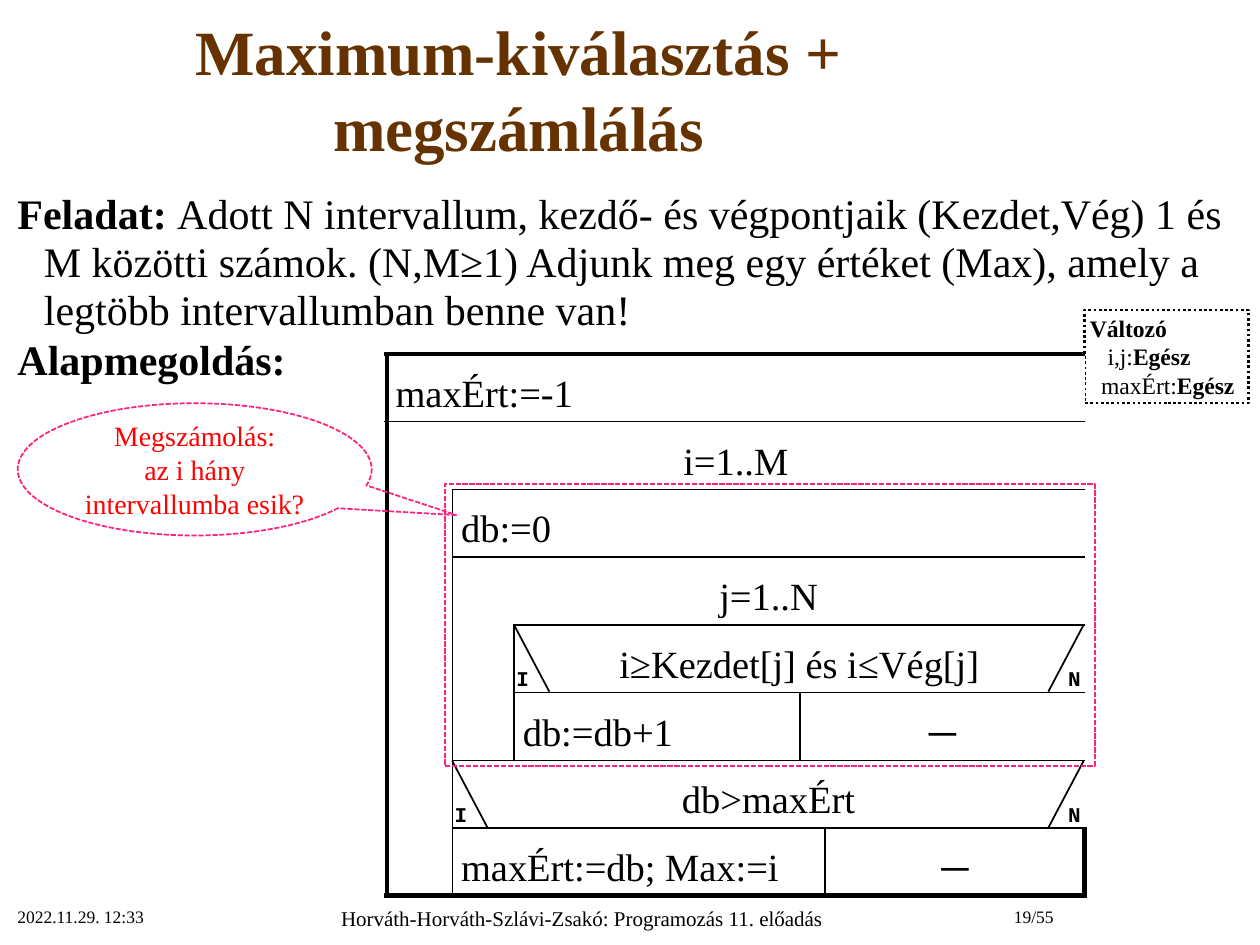
import pptx
import pptx.util
import pptx.dml.color
import pptx.enum.dml
import pptx.enum.shapes
import pptx.enum.text
import pptx.oxml.ns
from lxml import etree

EMU_PER_PX = 9144  # 100 px to the inch
SERIF, MONO = "Times New Roman", "Courier New"
BLACK, WHITE, BROWN, RED, PINK = "000000", "FFFFFF", "663300", "FF0000", "FF217B"
LEFT, CENTER, RIGHT = (pptx.enum.text.PP_ALIGN.LEFT, pptx.enum.text.PP_ALIGN.CENTER,
                       pptx.enum.text.PP_ALIGN.RIGHT)
MIDDLE = pptx.enum.text.MSO_ANCHOR.MIDDLE
SHAPE, DASH = pptx.enum.shapes.MSO_SHAPE, pptx.enum.dml.MSO_LINE

# Each letter is one block of the structogram; a loop's head and side bar share a letter.
BLOCKS = ["AAAAA", "BBBBB", "BCCCC", "BDDDD", "BDEEE", "BDFGG", "BHHHH", "BIIIJ"]
COLUMNS = [52, 49, 227, 20, 206]
STATEMENTS = {
    "A": ("maxÉrt:=-1", LEFT), "B": ("i=1..M", CENTER), "C": ("db:=0", LEFT),
    "D": ("j=1..N", CENTER), "E": ("i≥Kezdet[j] és i≤Vég[j]", CENTER),
    "F": ("db:=db+1", LEFT), "G": ("─", CENTER), "H": ("db>maxÉrt", CENTER),
    "I": ("maxÉrt:=db; Max:=i", LEFT), "J": ("─", CENTER),
}


def px(*lengths):
    """Turn px into EMU: one value for one length, a list for several."""
    emu = [pptx.util.Emu(round(length * EMU_PER_PX)) for length in lengths]
    return emu[0] if len(emu) == 1 else emu


def rgb(value):
    return pptx.dml.color.RGBColor.from_string(value)


def style_run(run, size, color=BLACK, bold=False, font=SERIF):
    run.font.name, run.font.size, run.font.bold = font, pptx.util.Pt(size), bold
    run.font.color.rgb = rgb(color)


def write(paragraph, text, size, color=BLACK, bold=False, font=SERIF, align=LEFT):
    paragraph.text = text
    paragraph.alignment = align
    for run in paragraph.runs:
        style_run(run, size, color, bold, font)


def write_mixed(paragraph, parts, size):
    """Fill a paragraph with (text, bold) parts."""
    for text, bold in parts:
        run = paragraph.add_run()
        run.text = text
        style_run(run, size, bold=bold)


def indent(paragraph, margin, first=0):
    properties = paragraph._p.get_or_add_pPr()
    properties.set("marL", str(px(margin)))
    properties.set("indent", str(px(first)))


def text_box(slide, box):
    frame = slide.shapes.add_textbox(*px(*box)).text_frame
    frame.word_wrap = True
    return frame


def label(slide, box, text, size, **style):
    frame = text_box(slide, box)
    write(frame.paragraphs[0], text, size, **style)
    return frame


def outlined(shapes, kind, box, color, width, dash):
    """Add an unfilled shape with a dashed outline."""
    shape = shapes.add_shape(kind, *px(*box))
    shape.shadow.inherit = False
    shape.fill.background()
    shape.line.color.rgb = rgb(color)
    shape.line.width = pptx.util.Pt(width)
    shape.line.dash_style = dash
    return shape


def line(slide, x1, y1, x2, y2):
    connector = slide.shapes.add_connector(
        pptx.enum.shapes.MSO_CONNECTOR.STRAIGHT, *px(x1, y1, x2, y2))
    connector.line.color.rgb = rgb(BLACK)
    connector.line.width = pptx.util.Pt(1)
    etree.SubElement(connector._element.spPr, pptx.oxml.ns.qn("a:effectLst"))


def task(slide, box):
    frame = text_box(slide, box)
    paragraphs = [
        [("Feladat: ", True),
         ("Adott N intervallum, kezdő- és végpontjaik (Kezdet,Vég) 1 és M közötti számok. "
          "(N,M≥1) Adjunk meg egy értéket (Max), amely a legtöbb intervallumban benne van!",
          False)],
        [("Alapmegoldás:", True)],
    ]
    for index, parts in enumerate(paragraphs):
        paragraph = frame.add_paragraph() if index else frame.paragraphs[0]
        write_mixed(paragraph, parts, 24)
        indent(paragraph, 21, -21)
        paragraph.line_spacing = 0.95
        paragraph.space_before = pptx.util.Pt(1.2)


def variables(slide, box):
    frame = outlined(slide.shapes, SHAPE.RECTANGLE, box, BLACK, 1.5,
                     DASH.ROUND_DOT).text_frame
    frame.word_wrap = False
    frame.margin_left = frame.margin_right = px(4)
    frame.margin_top = frame.margin_bottom = px(3)
    declarations = [(0, [("Változó", True)]),
                    (14, [("i,j:", False), ("Egész", True)]),
                    (9, [("maxÉrt:", False), ("Egész", True)])]
    for index, (margin, parts) in enumerate(declarations):
        paragraph = frame.add_paragraph() if index else frame.paragraphs[0]
        paragraph.alignment = LEFT
        write_mixed(paragraph, parts, 13.5)
        indent(paragraph, margin)


def block_at(row, column):
    """Letter of the block at a grid place, or None outside the grid."""
    inside = 0 <= row < len(BLOCKS) and 0 <= column < len(COLUMNS)
    return BLOCKS[row][column] if inside else None


def set_borders(cell, row, column):
    """Thick round the structogram, thin between blocks, none within a block."""
    sides = {"L": (row, column - 1), "R": (row, column + 1),
             "T": (row - 1, column), "B": (row + 1, column)}
    properties = cell._tc.get_or_add_tcPr()
    for side, place in sides.items():
        neighbour = block_at(*place)
        width = pptx.util.Pt(1 if neighbour else 3)
        border = etree.SubElement(properties, pptx.oxml.ns.qn("a:ln" + side), w=str(width))
        if neighbour == block_at(row, column):
            etree.SubElement(border, pptx.oxml.ns.qn("a:noFill"))
        else:
            fill = etree.SubElement(border, pptx.oxml.ns.qn("a:solidFill"))
            etree.SubElement(fill, pptx.oxml.ns.qn("a:srgbClr"), val=BLACK)


def structogram(slide, box):
    left, top, width, height = box
    row_height = height / len(BLOCKS)
    table = slide.shapes.add_table(len(BLOCKS), len(COLUMNS), *px(*box)).table
    table.first_row = table.horz_banding = False
    for column, column_width in zip(table.columns, COLUMNS):
        column.width = px(column_width)
    for row in table.rows:
        row.height = px(row_height)

    written = set()
    for row, letters in enumerate(BLOCKS):
        for column, letter in enumerate(letters):
            cell = table.cell(row, column)
            set_borders(cell, row, column)
            cell.fill.solid()
            cell.fill.fore_color.rgb = rgb(WHITE)
            cell.margin_left = cell.margin_right = px(7)
            cell.margin_top = cell.margin_bottom = px(4)
            cell.vertical_anchor = MIDDLE
            if letter not in written:
                written.add(letter)
                text, align = STATEMENTS[letter]
                paragraph = cell.text_frame.paragraphs[0]
                write(paragraph, text, 22, align=align)
                paragraph.line_spacing = pptx.util.Pt(32)
                last = column + letters.count(letter) - 1
                if last > column:
                    cell.merge(table.cell(row, last))
    for first, last, column in ((2, 5, 0), (4, 5, 1)):
        table.cell(first, column).merge(table.cell(last, column))

    for letter in "HE":
        row = next(r for r, letters in enumerate(BLOCKS) if letter in letters)
        start = left + sum(COLUMNS[:BLOCKS[row].index(letter)])
        branch_corners(slide, (start, round(top + row * row_height),
                               left + width - start, round(row_height)))


def branch_corners(slide, box):
    """Slanted corners of a decision with its true (I) and false (N) labels."""
    left, top, width, height = box
    right, bottom = left + width - 1, top + height - 1
    line(slide, left, top, left + 28, bottom)
    line(slide, right, top, right - 28, bottom)
    for mark, x in (("I", left - 8), ("N", right - 22)):
        label(slide, (x, top + 27, 24, 30), mark, 12, bold=True, font=MONO)


def counting_note(slide, frame_box, callout_box):
    group = slide.shapes.add_group_shape()
    outlined(group.shapes, SHAPE.RECTANGLE, frame_box, PINK, 1, DASH.SQUARE_DOT)
    callout = outlined(group.shapes, SHAPE.OVAL_CALLOUT, callout_box, PINK, 1,
                       DASH.SQUARE_DOT)
    callout.adjustments[0], callout.adjustments[1] = 0.74, 0.346
    callout.text_frame.word_wrap = True
    callout.text_frame.vertical_anchor = MIDDLE
    write(callout.text_frame.paragraphs[0],
          "Megszámolás:\vaz i hány intervallumba esik?", 16, color=RED, align=CENTER)


def footer(slide, top):
    label(slide, (4, top, 208, 39), "2022.11.29. 12:33", 10)
    label(slide, (212, top, 500, 36),
          "Horváth-Horváth-Szlávi-Zsakó: Programozás 11. előadás", 12, align=CENTER)
    label(slide, (719, top, 127, 39), "19/55", 10, align=RIGHT)


def main():
    deck = pptx.Presentation()
    deck.slide_width, deck.slide_height = px(1000, 750)
    slide = deck.slides.add_slide(deck.slide_layouts[6])
    title = label(slide, (0, 9, 823, 122), "Maximum-kiválasztás + megszámlálás", 36,
                  color=BROWN, bold=True, align=CENTER)
    title.vertical_anchor = MIDDLE
    task(slide, (4, 147, 992, 567))
    variables(slide, (861, 246, 130, 74))
    structogram(slide, (307, 281, 554, 430))
    counting_note(slide, (353, 384, 516, 224), (14, 320, 281, 105))
    footer(slide, 714)
    deck.save("out.pptx")


if __name__ == "__main__":
    main()
